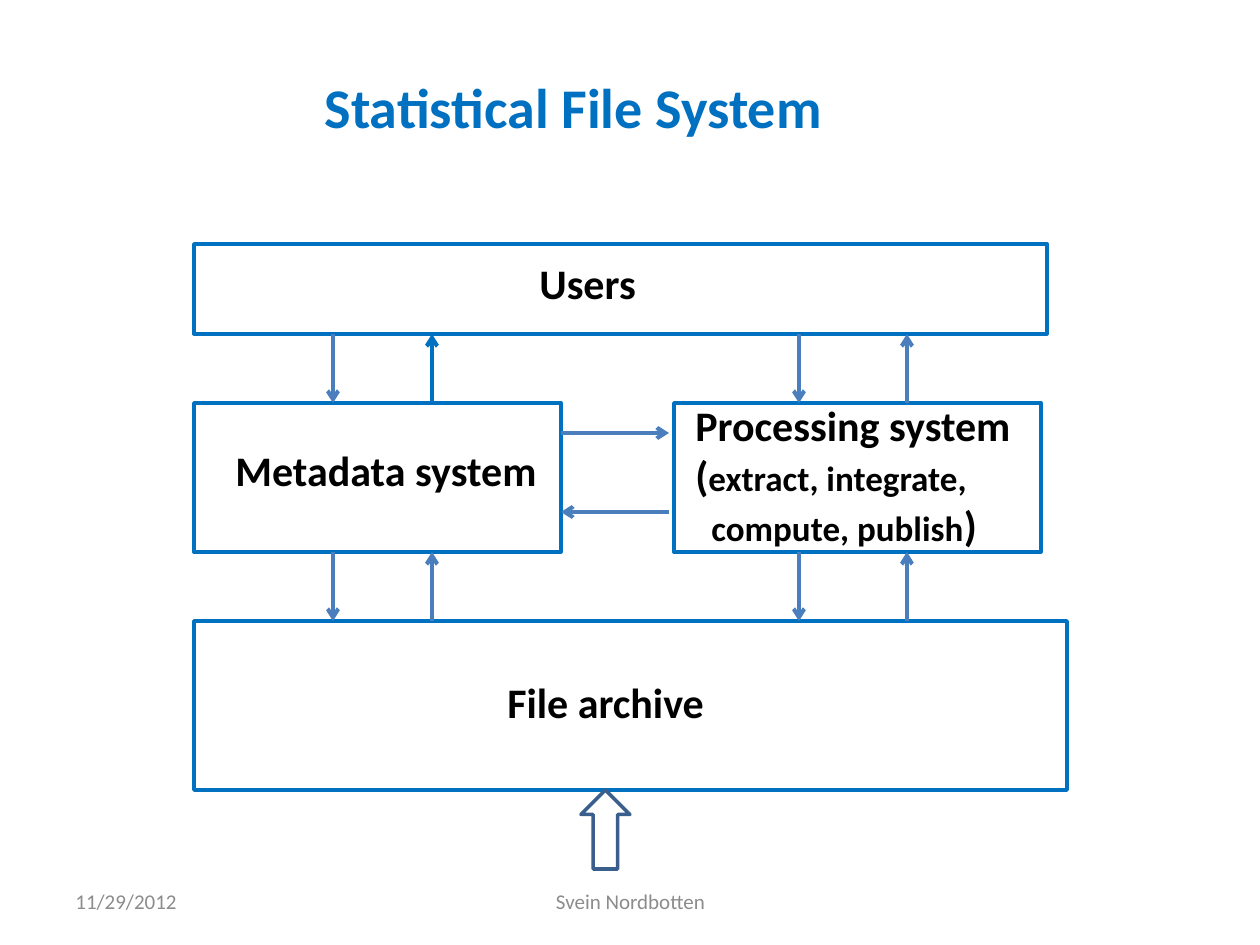
from lxml.etree import SubElement
from pptx import Presentation
from pptx.dml.color import RGBColor
from pptx.enum.shapes import MSO_CONNECTOR, MSO_SHAPE
from pptx.enum.text import MSO_ANCHOR, MSO_AUTO_SIZE, PP_ALIGN
from pptx.oxml.ns import qn
from pptx.util import Emu, Pt

COLORS = {
    "blue": "0070C0",
    "flow": "4B7EBC",
    "input": "3A5F8C",
    "text": "000000",
    "footer": "8C8C8C",
    "white": "FFFFFF",
}
FONT = "Calibri"
PX_PER_INCH = 126


def px(value):
    return Emu(round(value * 914400 / PX_PER_INCH))


def color(name):
    return RGBColor.from_string(COLORS[name])


class Diagram:
    def __init__(self, slide):
        self.slide = slide

    def fill_text(self, frame, paragraphs, ink="text", bold=True, wrap=False,
                  align=PP_ALIGN.LEFT, anchor=MSO_ANCHOR.TOP):
        """Each paragraph is a list of (text, size) runs."""
        frame.word_wrap = wrap
        frame.auto_size = MSO_AUTO_SIZE.NONE
        frame.vertical_anchor = anchor
        for index, runs in enumerate(paragraphs):
            paragraph = frame.add_paragraph() if index else frame.paragraphs[0]
            paragraph.alignment = align
            for text, size in runs:
                run = paragraph.add_run()
                run.text = text
                run.font.name = FONT
                run.font.size = Pt(size)
                run.font.bold = bold
                run.font.color.rgb = color(ink)

    def title(self, text, left, top, width, height):
        title = self.slide.shapes.title
        title.left, title.top = px(left), px(top)
        title.width, title.height = px(width), px(height)
        self.fill_text(title.text_frame, [[(text, 32)]], ink="blue")

    def text(self, paragraphs, left, top, width, height, **style):
        box = self.slide.shapes.add_textbox(px(left), px(top), px(width), px(height))
        self.fill_text(box.text_frame, paragraphs, **style)
        return box.text_frame

    def box(self, left, top, width, height, preset=MSO_SHAPE.RECTANGLE, line="blue"):
        shape = self.slide.shapes.add_shape(
            preset, px(left), px(top), px(width), px(height))
        shape.shadow.inherit = False
        shape.fill.solid()
        shape.fill.fore_color.rgb = color("white")
        shape.line.color.rgb = color(line)
        shape.line.width = Pt(2)

    def arrow(self, start, end, line="flow"):
        arrow = self.slide.shapes.add_connector(
            MSO_CONNECTOR.STRAIGHT, *map(px, start + end))
        arrow.line.color.rgb = color(line)
        arrow.line.width = Pt(2.25)
        SubElement(arrow.line._get_or_add_ln(), qn("a:tailEnd"), type="arrow")
        SubElement(arrow._element.spPr, qn("a:effectLst"))


def main():
    prs = Presentation()
    prs.slide_width, prs.slide_height = px(1260), px(945)
    diagram = Diagram(prs.slides.add_slide(prs.slide_layouts[5]))
    diagram.title("Statistical File System", 312, 66, 528, 81)

    # System boxes, in three tiers
    left, system_left, system_width = 194, 674, 367
    users_top, users_bottom = 244, 334
    system_top, system_bottom = 403, 552
    archive_top, archive_bottom = 621, 790
    system_height = system_bottom - system_top
    diagram.box(left, users_top, 853, users_bottom - users_top)
    diagram.box(left, system_top, system_width, system_height)
    diagram.box(system_left, system_top, system_width, system_height)
    diagram.box(left, archive_top, 873, archive_bottom - archive_top)

    # Box labels
    diagram.text([[("Users", 24)]], 527, 251, 123, 63)
    diagram.text([[("Metadata system", 24)]], 223, 438, 330, 63)
    diagram.text([[("File archive", 24)]], 495, 670, 224, 63)
    processing = diagram.text([
        [("Processing system", 24)],
        [("(", 24), ("extract, integrate,", 20)],
        [("compute, publish", 20), (")", 24)],
    ], 683, 393, 352, 165)
    processing.paragraphs[-1]._p.get_or_add_pPr().set("marL", str(px(16)))

    # Flows between tiers: one down and one up per system
    for upper, lower in ((users_bottom, system_top), (system_bottom, archive_top)):
        for down, up in ((333, 432), (799, 907)):
            metadata_to_users = upper == users_bottom and up == 432
            diagram.arrow((down, upper), (down, lower))
            diagram.arrow((up, lower), (up, upper),
                          "blue" if metadata_to_users else "flow")

    # Flows between the two systems
    metadata_edge, processing_edge = left + system_width, 669
    diagram.arrow((metadata_edge, 433), (processing_edge, 433))
    diagram.arrow((processing_edge, 512), (metadata_edge, 512))

    # Input to the archive
    diagram.box(581, archive_bottom, 49, 79, MSO_SHAPE.UP_ARROW, "input")

    # Footer
    footer = dict(ink="footer", bold=False, wrap=True, anchor=MSO_ANCHOR.MIDDLE)
    diagram.text([[("11/29/2012", 12)]], 63, 876, 294, 50, **footer)
    diagram.text([[("Svein Nordbotten", 12)]], 431, 876, 399, 50,
                 align=PP_ALIGN.CENTER, **footer)

    prs.save("out.pptx")


if __name__ == "__main__":
    main()
